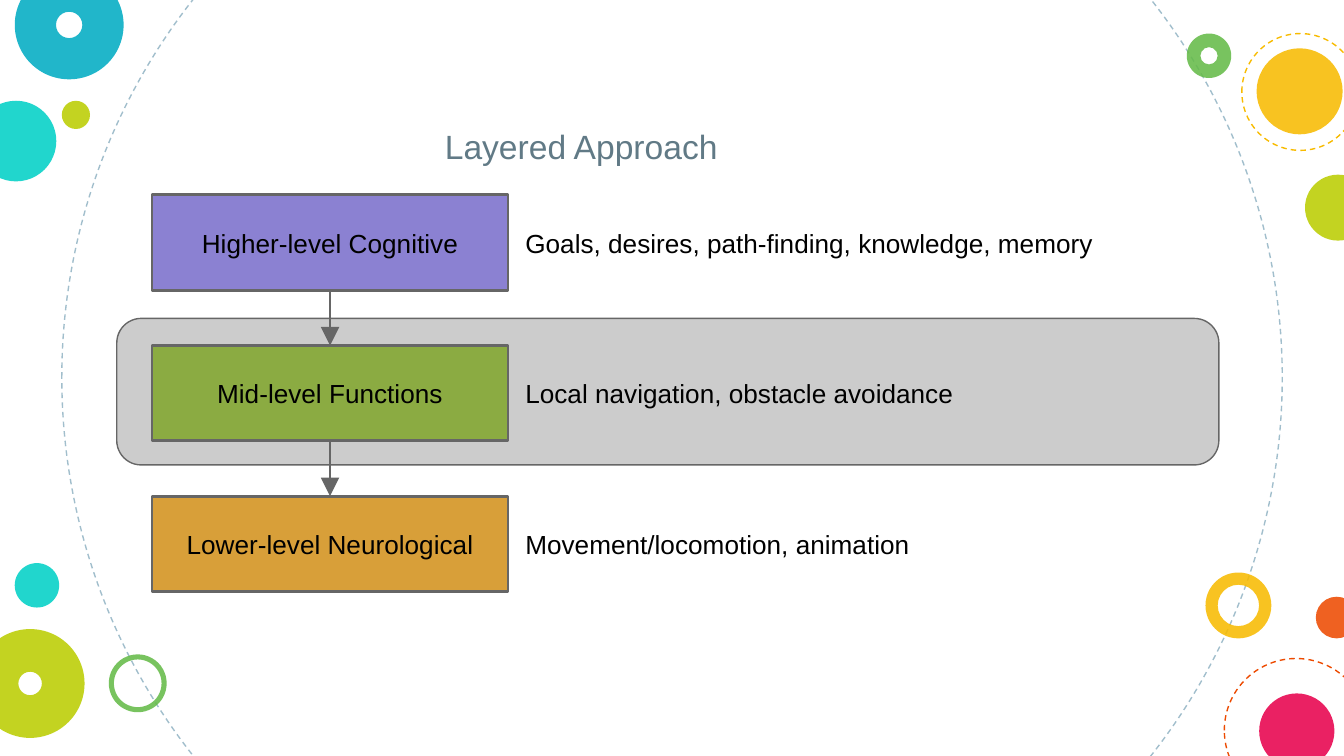
from dataclasses import dataclass
from typing import Optional

from lxml import etree
from pptx import Presentation
from pptx.dml.color import RGBColor
from pptx.enum.dml import MSO_LINE
from pptx.enum.shapes import MSO_CONNECTOR, MSO_SHAPE
from pptx.enum.text import MSO_ANCHOR, PP_ALIGN
from pptx.oxml.ns import qn
from pptx.util import Pt

DASH = MSO_LINE.DASH
STRAIGHT = MSO_CONNECTOR.STRAIGHT
ELLIPSE, DONUT = MSO_SHAPE.OVAL, MSO_SHAPE.DONUT
RECT, ROUNDED = MSO_SHAPE.RECTANGLE, MSO_SHAPE.ROUNDED_RECTANGLE
LEFT, CENTER = PP_ALIGN.LEFT, PP_ALIGN.CENTER
MIDDLE, BOTTOM = MSO_ANCHOR.MIDDLE, MSO_ANCHOR.BOTTOM

BLACK = RGBColor(0x00, 0x00, 0x00)
SLATE = RGBColor(0x61, 0x7A, 0x86)
PALE_BLUE = RGBColor(0xA1, 0xBE, 0xCC)
TURQUOISE = RGBColor(0x00, 0xD1, 0xC6)
TEAL = RGBColor(0x00, 0xAC, 0xC3)
YELLOW = RGBColor(0xF8, 0xBB, 0x00)
LIME = RGBColor(0xBB, 0xCD, 0x00)
GREEN = RGBColor(0x65, 0xBB, 0x48)
ORANGE = RGBColor(0xED, 0x4A, 0x00)
PINK = RGBColor(0xE8, 0x00, 0x4C)
LIGHT_GRAY = RGBColor(0xCC, 0xCC, 0xCC)
DARK_GRAY = RGBColor(0x66, 0x66, 0x66)
PURPLE = RGBColor(0x8B, 0x81, 0xD2)
OLIVE = RGBColor(0x8B, 0xAB, 0x42)
OCHRE = RGBColor(0xD8, 0x9F, 0x39)

FONT = "Arial"
BOX_LEFT, BOX_TOP, BOX_W, BOX_H = 81.4, 104.4, 190.8, 51.1
PITCH = 80.7
NOTE_LEFT, NOTE_W = 274.3, 430.6


@dataclass
class Circle:
    x: float
    y: float
    size: float
    color: RGBColor
    ring: Optional[float] = None  # ring thickness as a share of the size
    dashed: bool = False


@dataclass
class Layer:
    name: str
    note: str
    color: RGBColor


CIRCLES = [
    Circle(33.1, -124.6, 653.8, PALE_BLUE, dashed=True),
    Circle(-13, 54, 43.2, TURQUOISE),
    Circle(645.8, 306.7, 35.3, YELLOW, ring=0.186),
    Circle(7.9, -15.8, 58.3, TEAL, ring=0.379),
    Circle(33.1, 54, 15.1, LIME),
    Circle(655.9, 352.8, 77, ORANGE, dashed=True),
    Circle(58.3, 350.6, 31, GREEN, ring=0.088),
    Circle(704.9, 319.7, 22.3, ORANGE),
    Circle(-13, 337, 58.3, LIME, ring=0.392),
    Circle(674.6, 371.5, 40.3, PINK),
    Circle(635.8, 18, 23.8, GREEN, ring=0.306),
    Circle(673.2, 25.9, 46.1, YELLOW),
    Circle(699.1, 93.6, 35.3, LIME),
    Circle(665.3, 18, 62.6, YELLOW, dashed=True),
    Circle(7.9, 301.7, 23.8, TURQUOISE),
]

LAYERS = [
    Layer("Higher-level Cognitive", "Goals, desires, path-finding, knowledge, memory", PURPLE),
    Layer("Mid-level Functions", "Local navigation, obstacle avoidance", OLIVE),
    Layer("Lower-level Neurological", "Movement/locomotion, animation", OCHRE),
]


def write(sp, text: str, size: float, color: RGBColor, align, anchor) -> None:
    tf = sp.text_frame
    tf.text = text
    tf.word_wrap = True
    tf.vertical_anchor = anchor
    tf.margin_left = tf.margin_right = tf.margin_top = tf.margin_bottom = Pt(7.2)
    p = tf.paragraphs[0]
    p.alignment = align
    font = p.runs[0].font
    font.name, font.size, font.bold = FONT, Pt(size), False
    font.color.rgb = color


def add_circle(s, c: Circle) -> None:
    kind = ELLIPSE if c.ring is None else DONUT
    sp = s.shapes.add_shape(kind, Pt(c.x), Pt(c.y), Pt(c.size), Pt(c.size))
    sp.shadow.inherit = False
    if c.ring is not None:
        sp.adjustments[0] = c.ring
    if c.dashed:
        sp.fill.background()
        sp.line.color.rgb = c.color
        sp.line.width = Pt(0.75)
        sp.line.dash_style = DASH
    else:
        sp.line.fill.background()
        sp.fill.solid()
        sp.fill.fore_color.rgb = c.color
        color = sp._element.spPr.find(f"{qn('a:solidFill')}/{qn('a:srgbClr')}")
        etree.SubElement(color, qn("a:alpha"), val="87000")


def add_box(s, kind, x: float, y: float, w: float, h: float, fill: RGBColor, line_width: float):
    sp = s.shapes.add_shape(kind, Pt(x), Pt(y), Pt(w), Pt(h))
    sp.shadow.inherit = False
    sp.fill.solid()
    sp.fill.fore_color.rgb = fill
    sp.line.color.rgb = DARK_GRAY
    sp.line.width = Pt(line_width)
    return sp


def add_layer(s, layer: Layer, y: float) -> None:
    box = add_box(s, RECT, BOX_LEFT, y, BOX_W, BOX_H, layer.color, 1.5)
    write(box, layer.name, 14, BLACK, CENTER, MIDDLE)
    note = s.shapes.add_textbox(Pt(NOTE_LEFT), Pt(y), Pt(NOTE_W), Pt(BOX_H))
    write(note, layer.note, 14, BLACK, LEFT, MIDDLE)


def add_down_arrow(s, x: float, top: float, bottom: float) -> None:
    cx = s.shapes.add_connector(STRAIGHT, Pt(x), Pt(top), Pt(x), Pt(bottom))
    cx.line.color.rgb = DARK_GRAY
    cx.line.width = Pt(0.75)
    etree.SubElement(cx.line._get_or_add_ln(), qn("a:tailEnd"), type="triangle", w="lg", len="lg")
    etree.SubElement(cx._element.spPr, qn("a:effectLst"))


def main() -> None:
    prs = Presentation()
    prs.slide_width, prs.slide_height = Pt(720), Pt(405)
    s = prs.slides.add_slide(prs.slide_layouts[5])

    for circle in CIRCLES:
        add_circle(s, circle)

    title = s.shapes.title
    title.left, title.top, title.width, title.height = Pt(231.1), Pt(46.1), Pt(415.4), Pt(50.4)
    write(title, "Layered Approach", 18, SLATE, LEFT, BOTTOM)

    add_box(s, ROUNDED, 62.6, 170.6, 590.4, 78.5, LIGHT_GRAY, 0.75)
    for i, layer in enumerate(LAYERS):
        y = BOX_TOP + i * PITCH
        add_layer(s, layer, y)
        if i > 0:
            add_down_arrow(s, BOX_LEFT + BOX_W / 2, y - PITCH + BOX_H, y)

    prs.save("out.pptx")


if __name__ == "__main__":
    main()
